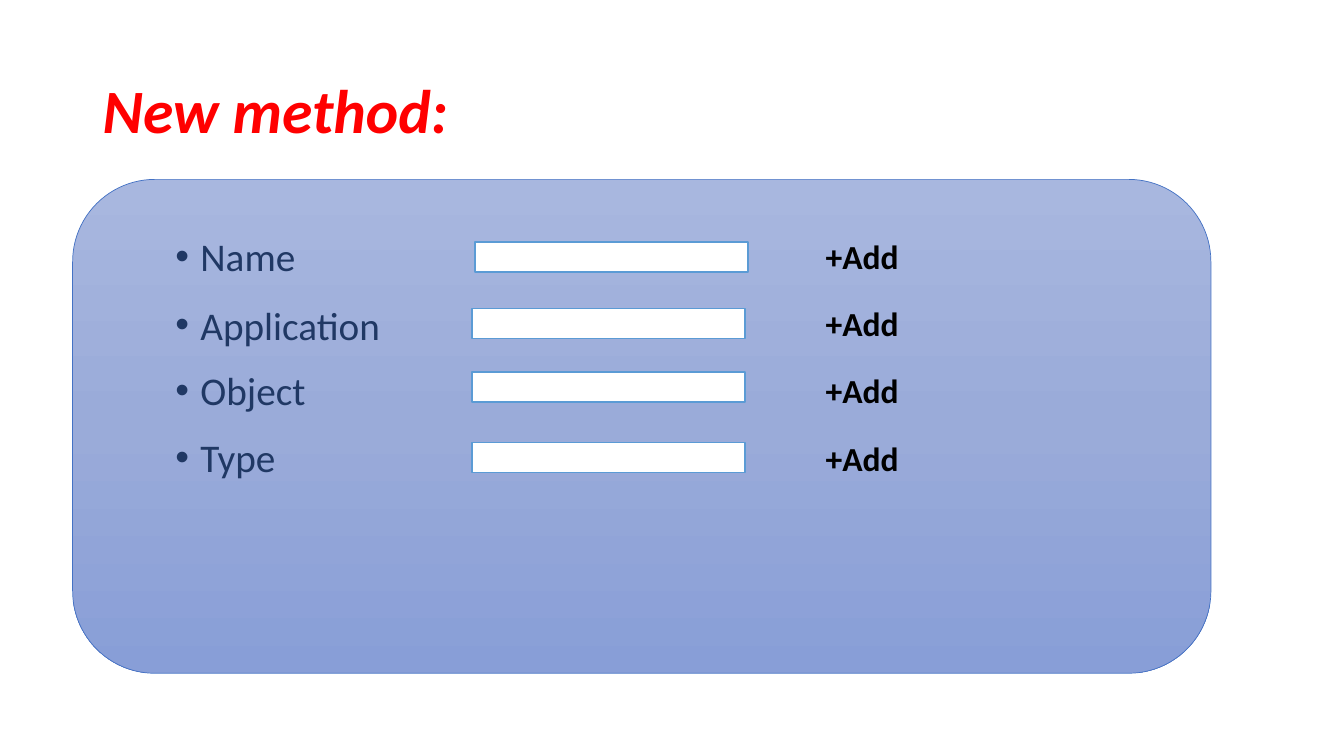
from copy import deepcopy
from dataclasses import dataclass

from lxml.etree import SubElement
from pptx import Presentation
from pptx.dml.color import RGBColor
from pptx.enum.shapes import MSO_SHAPE
from pptx.enum.text import MSO_ANCHOR, MSO_AUTO_SIZE
from pptx.oxml.ns import qn
from pptx.util import Inches, Pt

FONT = "Calibri"
RED = RGBColor(0xFF, 0x00, 0x00)
NAVY = RGBColor(0x20, 0x38, 0x64)
BLACK = RGBColor(0x00, 0x00, 0x00)
WHITE = RGBColor(0xFF, 0xFF, 0xFF)
PANEL_LINE = RGBColor(0x44, 0x72, 0xC4)
FIELD_LINE = RGBColor(0x5B, 0x9B, 0xD5)
PANEL_STOPS = [
    (0, RGBColor(0xA8, 0xB7, 0xDF)),
    (0.5, RGBColor(0x9A, 0xAB, 0xD9)),
    (1, RGBColor(0x88, 0x9E, 0xD7)),
]


@dataclass
class FormRow:
    label: str
    label_top: float
    field_left: float
    field_top: float


ROWS = [
    FormRow("Name", 2.35, 4.71, 2.4),
    FormRow("Application", 3.03, 4.68, 3.06),
    FormRow("Object", 3.68, 4.68, 3.69),
    FormRow("Type", 4.34, 4.68, 4.39),
]
ADD_TOP, ADD_STEP = 2.29, 0.667


def add_box(s, kind, left: float, top: float, width: float, height: float,
            line: RGBColor, line_width: float):
    sp = s.shapes.add_shape(kind, Inches(left), Inches(top), Inches(width), Inches(height))
    sp.shadow.inherit = False
    sp.line.color.rgb = line
    sp.line.width = Pt(line_width)
    return sp


def add_text(s, text: str, left: float, top: float, width: float, height: float,
             size: float, color: RGBColor, bold: bool = False, italic: bool = False):
    sp = s.shapes.add_textbox(Inches(left), Inches(top), Inches(width), Inches(height))
    tf = sp.text_frame
    tf.word_wrap = True
    tf.text = text
    font = tf.paragraphs[0].runs[0].font
    font.name, font.size, font.color.rgb = FONT, Pt(size), color
    font.bold, font.italic = bold, italic
    return tf


def fill_gradient(sp, stops: list[tuple[float, RGBColor]]) -> None:
    sp.fill.gradient()
    sp.fill.gradient_angle = 270
    gs_list = sp._element.spPr.find(qn("a:gradFill")).find(qn("a:gsLst"))
    gs_list.append(deepcopy(gs_list[0]))
    for stop, (position, color) in zip(sp.fill.gradient_stops, stops):
        stop.position = position
        stop.color.rgb = color


def add_bullet(p) -> None:
    p.line_spacing = 0.8
    p.space_before = Pt(10)
    pPr = p._p.get_or_add_pPr()
    pPr.set("marL", str(Inches(0.25)))
    pPr.set("indent", str(-Inches(0.25)))
    SubElement(pPr, qn("a:buFont"), typeface="Arial")
    SubElement(pPr, qn("a:buChar"), char="•")


prs = Presentation()
prs.slide_width, prs.slide_height = Inches(13.33), Inches(7.5)
s = prs.slides.add_slide(prs.slide_layouts[6])

# Panel
panel = add_box(s, MSO_SHAPE.ROUNDED_RECTANGLE, 0.72, 1.78, 11.29, 4.9, PANEL_LINE, 0.5)
fill_gradient(panel, PANEL_STOPS)

# Title
tf = add_text(s, "New method:", 0.92, 0.4, 11.5, 1.45, 44, RED, bold=True, italic=True)
tf.vertical_anchor = MSO_ANCHOR.MIDDLE
tf.paragraphs[0].line_spacing = 0.9

# Form rows: label, input field, add button
for i, row in enumerate(ROWS):
    tf = add_text(s, row.label, 1.64, row.label_top, 3.1, 0.5, 28, NAVY)
    add_bullet(tf.paragraphs[0])
    field = add_box(s, MSO_SHAPE.RECTANGLE, row.field_left, row.field_top, 2.71, 0.3,
                    FIELD_LINE, 1)
    field.fill.solid()
    field.fill.fore_color.rgb = WHITE
    tf = add_text(s, "+Add", 8.09, ADD_TOP + i * ADD_STEP, 1.14, 0.5, 24, BLACK, bold=True)
    tf.auto_size = MSO_AUTO_SIZE.SHAPE_TO_FIT_TEXT

prs.save("out.pptx")
